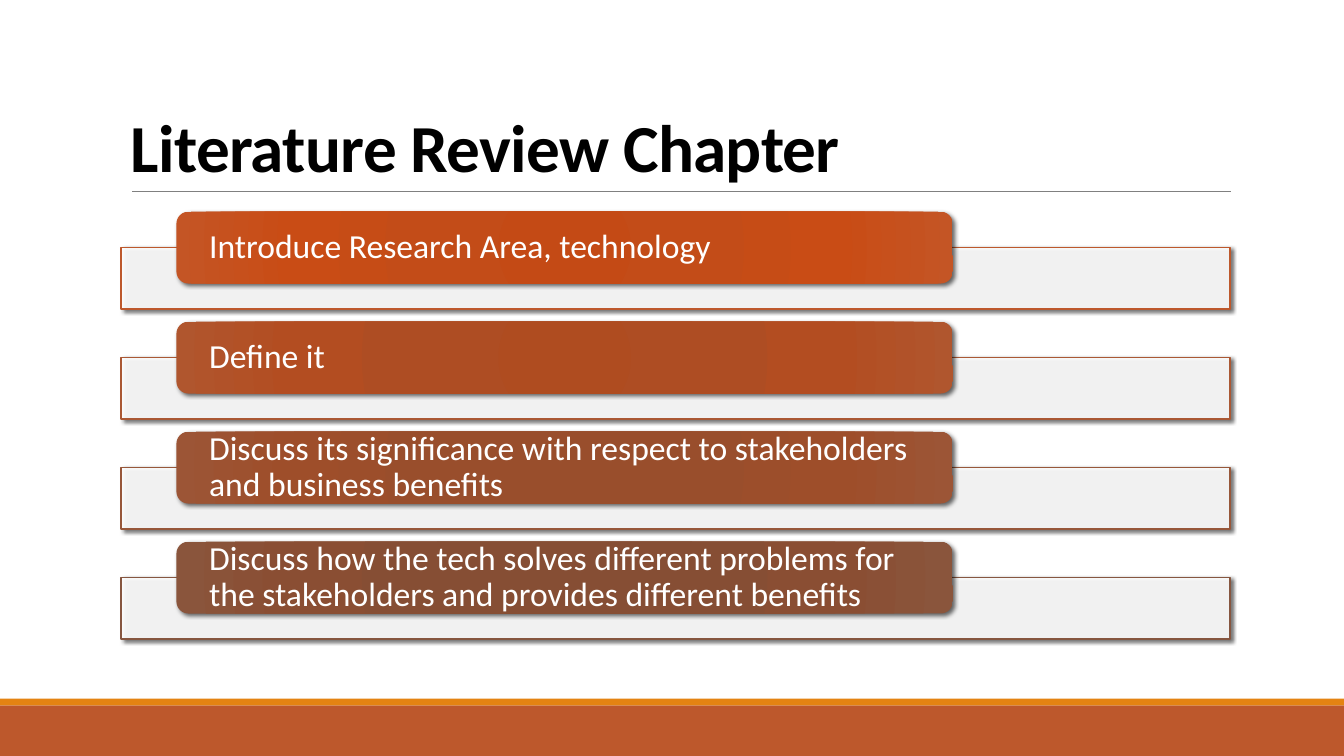
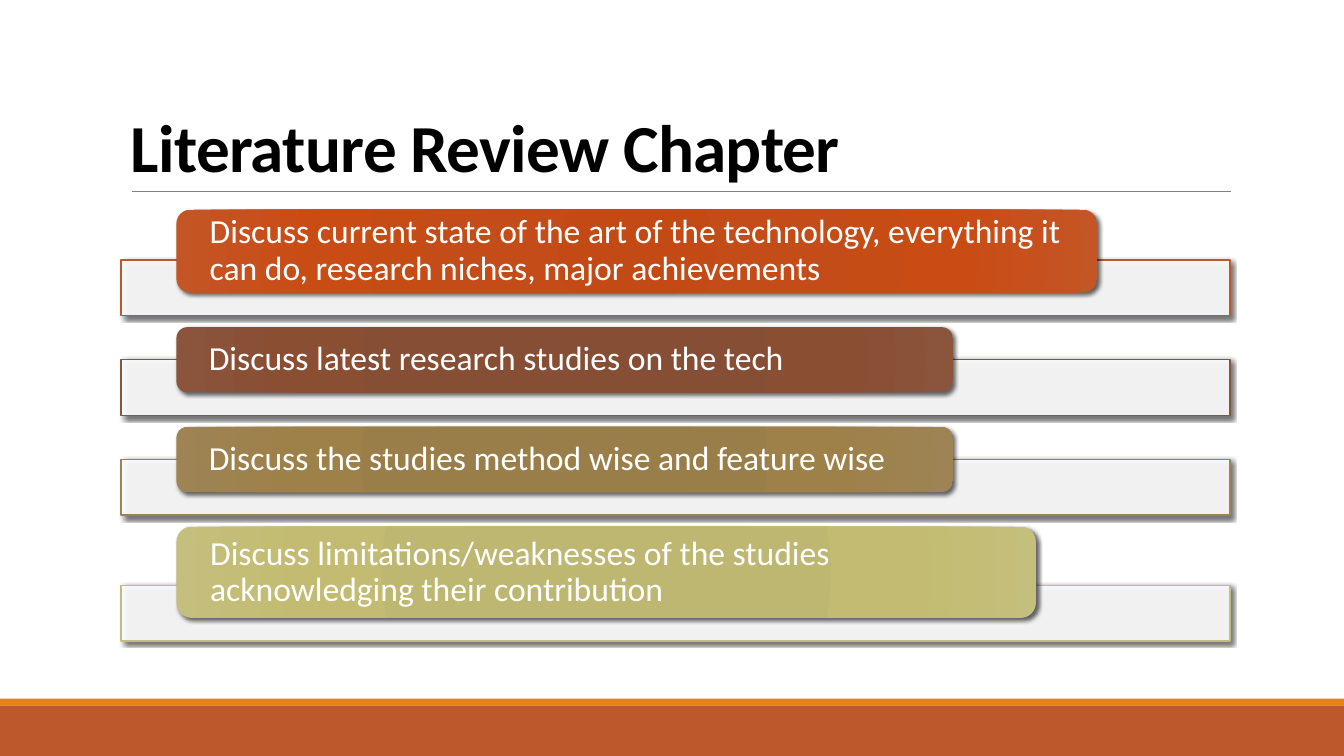
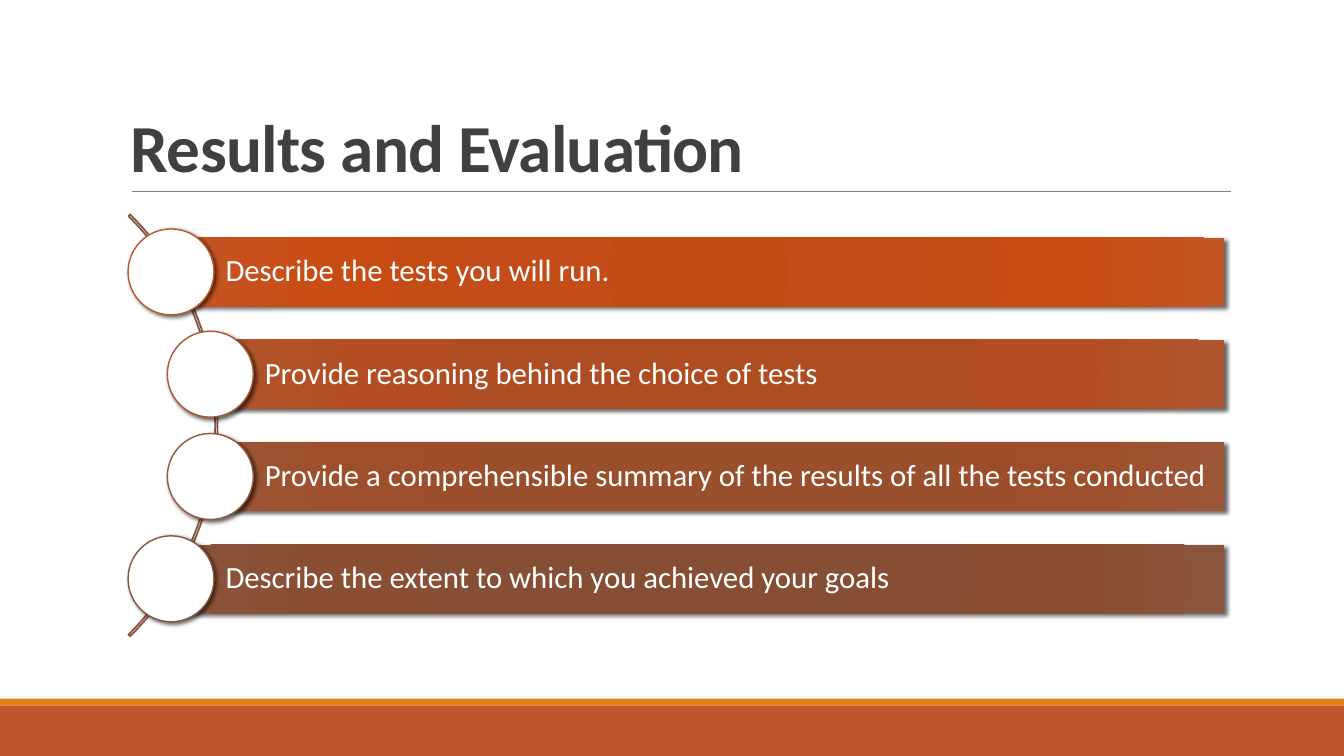
from dataclasses import dataclass
from typing import NamedTuple

from pptx import Presentation
from pptx.dml.color import RGBColor
from pptx.enum.shapes import MSO_CONNECTOR, MSO_SHAPE
from pptx.enum.text import MSO_ANCHOR, PP_ALIGN
from pptx.oxml import parse_xml
from pptx.oxml.ns import nsdecls, qn
from pptx.util import Inches, Pt


class Box(NamedTuple):
    """A rectangle in inches."""
    left: float
    top: float
    width: float
    height: float

    def share(self, left, top, width, height):
        """The box at the given shares of this one."""
        return Box(self.left + left * self.width, self.top + top * self.height,
                   width * self.width, height * self.height)

    def lengths(self):
        return [Inches(length) for length in self]


class Tone(NamedTuple):
    """An outline colour and the four stops of its gradient."""
    outline: str
    stops: tuple


@dataclass(frozen=True)
class Theme:
    font: str = "Calibri"
    title_size: float = 48
    step_size: float = 24
    bullet_size: float = 22
    black: str = "000000"
    charcoal: str = "404040"
    white: str = "FFFFFF"
    rule: str = "808080"
    footer: str = "BD582C"
    footer_edge: str = "E48312"
    stop_places: tuple = (0, 34, 70, 100)
    orange: Tone = Tone("BD582C", ("C44A15", "C34C18", "C94C15", "C45525"))
    rust: Tone = Tone("AA5834", ("AF4C20", "AE4D23", "B34D21", "B0562E"))
    brick: Tone = Tone("97573A", ("9A4C29", "994E2C", "9E4E2A", "9C5536"))
    brown: Tone = Tone("865640", ("874C32", "864E34", "8A4E33", "8A553C"))
    tan: Tone = Tone("9B8357", ("9A7D48", "9A7E4A", "9E8049", "9E8454"))
    olive: Tone = Tone("C2BC80", ("BEB76E", "BEB771", "C3BB71", "C5BF7D"))


class Step(NamedTuple):
    """A line of a stepped list; width is a share, height counts bars."""
    text: str
    tone: Tone
    width: float = 0.7
    height: float = 1.17


THEME = Theme()
SLIDE = Box(0, 0, 13.33, 7.5)
TITLE_BOX = Box(1.2, 0.31, 11, 1.59)


def write(shape, text, *, size, color=THEME.white, bold=False, tracking=0,
          line_spacing=0.9, anchor=MSO_ANCHOR.MIDDLE, insets=(0.1, 0.05, 0.1, 0.05)):
    frame = shape.text_frame
    frame.word_wrap = True
    frame.vertical_anchor = anchor
    (frame.margin_left, frame.margin_top,
     frame.margin_right, frame.margin_bottom) = [Inches(inset) for inset in insets]
    para = frame.paragraphs[0]
    para.alignment = PP_ALIGN.LEFT
    para.line_spacing = line_spacing
    span = para.add_run()
    span.text = text
    span.font.name = THEME.font
    span.font.size = Pt(size)
    span.font.bold = bold
    span.font.color.rgb = RGBColor.from_string(color)
    if tracking:
        span.font._element.set("spc", str(int(tracking * 100)))


def add_gradient(shape, tone):
    """Fill with a circular gradient centred on the lower right corner."""
    stops = "".join(
        f'<a:gs pos="{place * 1000}"><a:srgbClr val="{color}"/></a:gs>'
        for place, color in zip(THEME.stop_places, tone.stops))
    shape.fill.gradient()
    properties = shape._element.spPr
    properties.replace(properties.find(qn("a:gradFill")), parse_xml(
        f'<a:gradFill {nsdecls("a")} rotWithShape="1"><a:gsLst>{stops}</a:gsLst>'
        '<a:path path="circle"><a:fillToRect l="100000" t="100000" r="100000" '
        'b="100000"/></a:path></a:gradFill>'))


def add_shadow(shape):
    shape._element.spPr.find(qn("a:effectLst")).append(parse_xml(
        f'<a:outerShdw {nsdecls("a")} blurRad="{Pt(3)}" dist="{Pt(2)}" dir="2700000" '
        f'rotWithShape="0"><a:srgbClr val="{THEME.black}"><a:alpha val="60000"/>'
        '</a:srgbClr></a:outerShdw>'))


def draw(page, kind, box, *, fill=None, opacity=100, line=None, line_width=1, shadow=False):
    """Add a preset shape; fill is a colour, a Tone or None."""
    shape = page.shapes.add_shape(kind, *box.lengths())
    shape.shadow.inherit = False
    if fill is None:
        shape.fill.background()
    elif isinstance(fill, Tone):
        add_gradient(shape, fill)
    else:
        shape.fill.solid()
        shape.fill.fore_color.rgb = RGBColor.from_string(fill)
        if opacity < 100:
            color = shape._element.spPr.find(qn("a:solidFill"))[0]
            color.append(parse_xml(f'<a:alpha {nsdecls("a")} val="{opacity * 1000}"/>'))
    if line:
        shape.line.color.rgb = RGBColor.from_string(line)
        shape.line.width = Pt(line_width)
    else:
        shape.line.fill.background()
    if shadow:
        add_shadow(shape)
    return shape


def add_page(deck, title, title_color):
    """Add a slide with the shared footer bands, rule and title."""
    page = deck.slides.add_slide(deck.slide_layouts[6])
    draw(page, MSO_SHAPE.RECTANGLE, SLIDE.share(0, 0.933, 1, 0.067), fill=THEME.footer)
    draw(page, MSO_SHAPE.RECTANGLE, SLIDE.share(0, 0.924, 1, 0.009), fill=THEME.footer_edge)
    rule_top = Inches(TITLE_BOX.top + TITLE_BOX.height)
    rule = page.shapes.add_connector(
        MSO_CONNECTOR.STRAIGHT, Inches(1.31), rule_top, Inches(12.21), rule_top)
    rule.line.color.rgb = RGBColor.from_string(THEME.rule)
    rule.line.width = Pt(0.5)
    rule._element.spPr.append(parse_xml(f'<a:effectLst {nsdecls("a")}/>'))
    write(page.shapes.add_textbox(*TITLE_BOX.lengths()), title, size=THEME.title_size,
          color=title_color, bold=True, tracking=-0.5, line_spacing=0.85,
          anchor=MSO_ANCHOR.BOTTOM)
    return page


def add_stepped_list(page, box, steps):
    """Stack pale bars, each overlapped by a pill, so that they fill the box."""
    overlap, gap = 0.585, 0.205
    units = sum(step.height + 1 - overlap + gap for step in steps) - gap
    bar_height = box.height / units
    top = box.top
    for step in steps:
        pill = Box(box.left + 0.05 * box.width, top,
                   step.width * box.width, step.height * bar_height)
        bar = Box(box.left, top + pill.height - overlap * bar_height, box.width, bar_height)
        draw(page, MSO_SHAPE.RECTANGLE, bar, fill=THEME.white, opacity=90,
             line=step.tone.outline, shadow=True)
        label = draw(page, MSO_SHAPE.ROUNDED_RECTANGLE, pill, fill=step.tone, shadow=True)
        write(label, step.text, size=THEME.step_size, insets=(0.29, 0, 0.29, 0))
        top = bar.top + bar_height * (1 + gap)


def add_curved_list(page, box, lines):
    """Set bars in equal rows along an arc, each headed by a circle."""
    row_height = box.height / len(lines)
    diameter = 0.84 * row_height
    bar_height = 0.67 * row_height
    arc_size = 1.458 * box.height
    arc_box = Box(box.left - 0.85 * arc_size, box.top + (box.height - arc_size) / 2,
                  arc_size, arc_size)
    arc = draw(page, MSO_SHAPE.BLOCK_ARC, arc_box, line=THEME.brown.outline, line_width=1.25)
    for index, value in enumerate((189, 27, 0.004)):
        arc.adjustments[index] = value
    for index, (text, tone) in enumerate(lines):
        is_end = index in (0, len(lines) - 1)
        left = box.left + (0 if is_end else 0.39)
        center = box.top + (index + 0.5) * row_height
        bar_left = left + diameter / 2
        bar = draw(page, MSO_SHAPE.RECTANGLE,
                   Box(bar_left, center - bar_height / 2,
                       box.left + box.width - bar_left, bar_height),
                   fill=tone, shadow=True)
        write(bar, text, size=THEME.bullet_size, insets=(0.54, 0.06, 0.06, 0.06))
        draw(page, MSO_SHAPE.OVAL, Box(left, center - diameter / 2, diameter, diameter),
             fill=THEME.white, line=tone.outline, shadow=True)


def main():
    deck = Presentation()
    deck.slide_width, deck.slide_height = SLIDE.lengths()[2:]

    page = add_page(deck, "Literature Review Chapter", THEME.black)
    add_stepped_list(page, Box(1.2, 2.1, 11, 4.24), [
        Step("Introduce Research Area, technology", THEME.orange),
        Step("Define it", THEME.rust),
        Step("Discuss its significance with respect to stakeholders and business benefits",
             THEME.brick),
        Step("Discuss how the tech solves different problems for the stakeholders "
             "and provides different benefits", THEME.brown),
    ])

    page = add_page(deck, "Literature Review Chapter", THEME.black)
    add_stepped_list(page, Box(1.2, 2.08, 11, 4.28), [
        Step("Discuss current state of the art of the technology, everything it can do, "
             "research niches, major achievements", THEME.orange, width=0.83, height=1.49),
        Step("Discuss latest research studies on the tech", THEME.brown),
        Step("Discuss the studies method wise and feature wise", THEME.tan),
        Step("Discuss limitations/weaknesses of the studies acknowledging their contribution",
             THEME.olive, width=0.775, height=1.64),
    ])

    page = add_page(deck, "Results and Evaluation", THEME.charcoal)
    add_curved_list(page, Box(1.27, 2.19, 10.87, 4.06), [
        ("Describe the tests you will run.", THEME.orange),
        ("Provide reasoning behind the choice of tests", THEME.rust),
        ("Provide a comprehensible summary of the results of all the tests conducted",
         THEME.brick),
        ("Describe the extent to which you achieved your goals", THEME.brown),
    ])

    deck.save("out.pptx")


if __name__ == "__main__":
    main()
